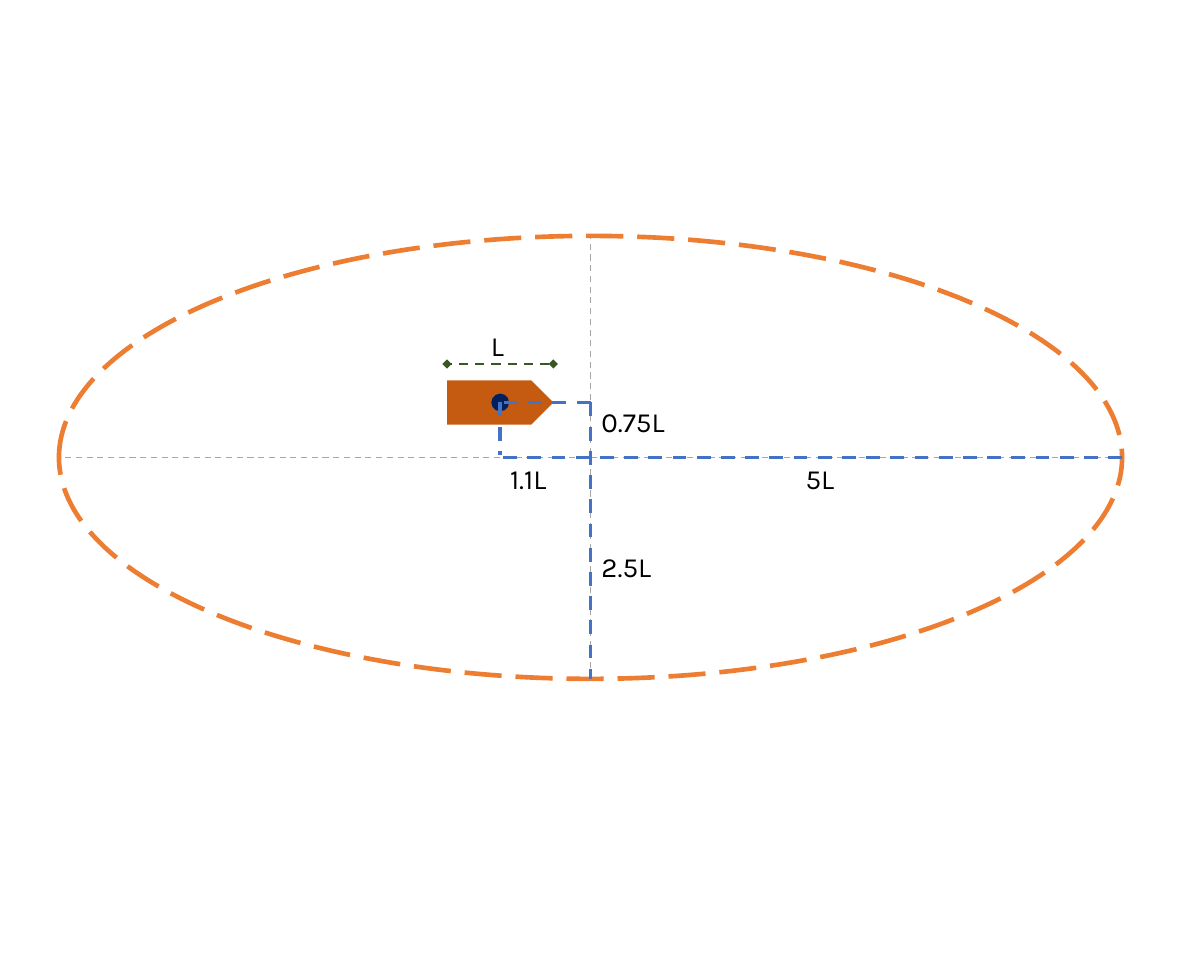
from collections import namedtuple
from dataclasses import dataclass

from pptx import Presentation
from pptx.dml.color import RGBColor as Rgb
from pptx.enum.dml import MSO_LINE as Dash
from pptx.enum.shapes import MSO_CONNECTOR as Connector, MSO_SHAPE as Shape
from pptx.enum.text import MSO_AUTO_SIZE as AutoSize
from pptx.oxml.ns import qn
from pptx.util import Inches, Pt
from lxml.etree import SubElement

Box = namedtuple("Box", "left top width height")


@dataclass(frozen=True)
class Theme:
    """Colours, font and sizes of the diagram."""
    axis: str = "A6A6A6"
    domain: str = "ED7D31"
    hull: str = "C55A11"
    centre: str = "002060"
    distance: str = "4472C4"
    length: str = "385723"
    text: str = "000000"
    font: str = "Karla"
    text_size: float = 18


THEME = Theme()
SLIDE_WIDTH, SLIDE_HEIGHT = 10.83, 8.66
SHIP_X, SHIP_Y = 0.415, 0.376
SHIP_LENGTH, SHIP_BEAM = 0.1, 0.1


def within(box, x, y, width=0, height=0):
    """Return the box at the given shares of another box."""
    return Box(box.left + x * box.width, box.top + y * box.height,
               width * box.width, height * box.height)


def style_line(line, color, weight, dash):
    """Set the colour, weight and dash of a line."""
    line.color.rgb = Rgb.from_string(color)
    line.width = Pt(weight)
    line.dash_style = dash


def add_line(page, box, start, end, color, weight, ends=None):
    """Draw a dashed line between two points given as shares of the box."""
    first, last = within(box, *start), within(box, *end)
    points = (first.left, first.top, last.left, last.top)
    connector = page.shapes.add_connector(Connector.STRAIGHT, *map(Inches, points))
    style_line(connector.line, color, weight, Dash.DASH)
    if ends:
        outline = connector.line._get_or_add_ln()
        for tag in ("a:headEnd", "a:tailEnd"):
            SubElement(outline, qn(tag), type=ends)
    SubElement(connector._element.spPr, qn("a:effectLst"))


def add_figure(page, kind, box, fill=None):
    """Add a preset shape without shadow or outline."""
    figure = page.shapes.add_shape(kind, *map(Inches, box))
    figure.shadow.inherit = False
    figure.line.fill.background()
    if fill:
        figure.fill.solid()
        figure.fill.fore_color.rgb = Rgb.from_string(fill)
    else:
        figure.fill.background()
    return figure


def add_text(page, text, box, size=THEME.text_size, color=THEME.text, font=THEME.font):
    """Add a wrapped text box with one formatted run."""
    frame = page.shapes.add_textbox(*map(Inches, box)).text_frame
    frame.word_wrap = True
    frame.auto_size = AutoSize.SHAPE_TO_FIT_TEXT
    span = frame.paragraphs[0].add_run()
    span.text = text
    span.font.size = Pt(size)
    span.font.name = font
    span.font.color.rgb = Rgb.from_string(color)


def draw_domain(page, box):
    """Draw the elliptical ship domain with its two axes."""
    for start, end in (((1, 0.5), (0, 0.5)), ((0.5, 1), (0.5, 0))):
        add_line(page, box, start, end, THEME.axis, 1)
    ellipse = add_figure(page, Shape.OVAL, box)
    style_line(ellipse.line, THEME.domain, 3, Dash.LONG_DASH)


def draw_ship(page, box):
    """Draw the ship and its centre point."""
    add_figure(page, Shape.PENTAGON, box, THEME.hull)
    size = 0.4 * box.height
    middle = within(box, 0.5, 0.5)
    dot = Box(middle.left - size / 2, middle.top - size / 2, size, size)
    add_figure(page, Shape.OVAL, dot, THEME.centre)


def draw_distances(page, box):
    """Draw the offsets, the semi-axes and the ship length."""
    ship = (SHIP_X, SHIP_Y)
    for start, end in (
        ((0.5, SHIP_Y), (0.5, 1)),
        ((1, 0.5), (SHIP_X, 0.5)),
        (ship, (SHIP_X, 0.495)),
        ((0.5, SHIP_Y), ship),
    ):
        add_line(page, box, start, end, THEME.distance, 2.25)
    bow, stern = SHIP_X + SHIP_LENGTH / 2, SHIP_X - SHIP_LENGTH / 2
    add_line(page, box, (bow, 0.289), (stern, 0.289), THEME.length, 1.5, "diamond")


def draw_labels(page, box):
    """Write the length of each distance beside its line."""
    for text, x, y in (
        ("5L", 0.692, 0.498),
        ("1.1L", 0.414, 0.498),
        ("2.5L", 0.5, 0.696),
        ("0.75L", 0.5, 0.369),
        ("L", 0.396, 0.198),
    ):
        add_text(page, text, within(box, x, y, 0.125, 0.1))


def main():
    """Build and save the ship domain slide."""
    deck = Presentation()
    deck.slide_width, deck.slide_height = Inches(SLIDE_WIDTH), Inches(SLIDE_HEIGHT)
    page = deck.slides.add_slide(deck.slide_layouts[6])
    domain = within(Box(0, 0, SLIDE_WIDTH, SLIDE_HEIGHT), 0.049, 0.245, 0.883, 0.46)
    ship = within(domain, SHIP_X - SHIP_LENGTH / 2, SHIP_Y - SHIP_BEAM / 2,
                  SHIP_LENGTH, SHIP_BEAM)
    draw_domain(page, domain)
    draw_ship(page, ship)
    draw_distances(page, domain)
    draw_labels(page, domain)
    deck.save("out.pptx")


if __name__ == "__main__":
    main()
